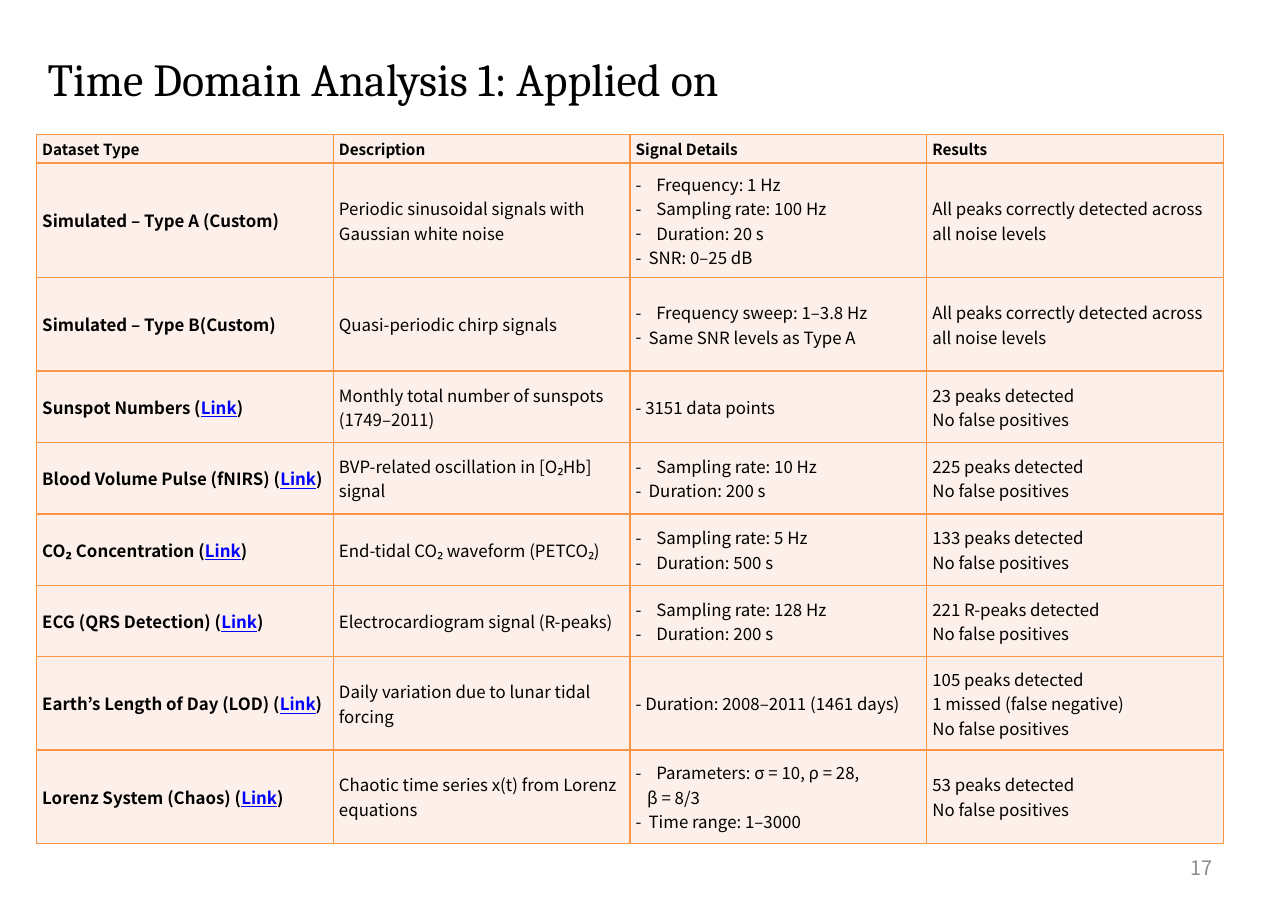
from lxml import etree
from pptx import Presentation
from pptx import util as u
from pptx.dml.color import RGBColor
from pptx.enum import text
from pptx.oxml import ns

BLACK = RGBColor(0x00, 0x00, 0x00)
GREY = RGBColor(0x8C, 0x8C, 0x8C)
LINK_BLUE = RGBColor(0x00, 0x00, 0xFF)
CELL_FILL = RGBColor(0xFD, 0xEF, 0xE9)
BORDER = RGBColor(0xF7, 0x96, 0x46)
SERIF, SANS = "Cambria", "Noto Sans CJK KR"

HEADINGS = ["Dataset Type", "Description", "Signal Details", "Results"]
COLUMN_WIDTH = 193.9
ROW_HEIGHTS = [18.7, 75, 61, 46.7, 46.7, 46.7, 46.7, 61, 61]
NO_FALSE = "No false positives"


# Signal detail lines: (text, left indent, has a dash bullet)
def dash(line):
    return line, 13.5, True


def close_dash(line):
    return line, 8.5, True


def continuation(line):
    return line, 7.5, False


# Dataset, has a link, description, signal details, results
DATASETS = [
    ("Simulated – Type A (Custom)", False,
     ["Periodic sinusoidal signals with", "Gaussian white noise"],
     [dash("Frequency: 1 Hz"), dash("Sampling rate: 100 Hz"),
      dash("Duration: 20 s"), close_dash("SNR: 0–25 dB")],
     ["All peaks correctly detected across", "all noise levels"]),
    ("Simulated – Type B(Custom)", False,
     ["Quasi-periodic chirp signals"],
     [dash("Frequency sweep: 1–3.8 Hz"), close_dash("Same SNR levels as Type A")],
     ["All peaks correctly detected across all noise levels"]),
    ("Sunspot Numbers", True,
     ["Monthly total number of sunspots", "(1749–2011)"],
     ["- 3151 data points"],
     ["23 peaks detected", NO_FALSE]),
    ("Blood Volume Pulse (fNIRS)", True,
     ["BVP-related oscillation in [O₂Hb]", "signal"],
     [dash("Sampling rate: 10 Hz"), close_dash("Duration: 200 s")],
     ["225 peaks detected", NO_FALSE]),
    ("CO₂ Concentration", True,
     ["End-tidal CO₂ waveform (PETCO₂)"],
     [dash("Sampling rate: 5 Hz"), dash("Duration: 500 s")],
     ["133 peaks detected", NO_FALSE]),
    ("ECG (QRS Detection)", True,
     ["Electrocardiogram signal (R-peaks)"],
     [dash("Sampling rate: 128 Hz"), dash("Duration: 200 s")],
     ["221 R-peaks detected", NO_FALSE]),
    ("Earth’s Length of Day (LOD)", True,
     ["Daily variation due to lunar tidal", "forcing"],
     ["- Duration: 2008–2011 (1461 days)"],
     ["105 peaks detected", "1 missed (false negative)", NO_FALSE]),
    ("Lorenz System (Chaos)", True,
     ["Chaotic time series x(t) from Lorenz equations"],
     [dash("Parameters: σ = 10, ρ = 28,"), continuation("β = 8/3"),
      close_dash("Time range: 1–3000")],
     ["53 peaks detected", NO_FALSE]),
]


def set_all(target, **values):
    for name, value in values.items():
        setattr(target, name, value)


def add_run(paragraph, words, size, face=SANS, colour=BLACK, **style):
    run = paragraph.add_run()
    run.text = words
    set_all(run.font, size=u.Pt(size), name=face, **style)
    run.font.color.rgb = colour
    east_asian = etree.SubElement(run.font._element, ns.qn("a:ea"))
    east_asian.set("typeface", face)


def indent(paragraph, left, has_dash):
    properties = paragraph._p.get_or_add_pPr()
    properties.set("marL", str(u.Pt(left)))
    properties.set("indent", str(-u.Pt(left) if has_dash else 0))
    if has_dash:
        etree.SubElement(properties, ns.qn("a:buFont")).set("typeface", SANS)
        etree.SubElement(properties, ns.qn("a:buChar")).set("char", "-")


def add_text(slide, left, top, width, height, words, **style):
    frame = slide.shapes.add_textbox(*map(u.Pt, (left, top, width, height))).text_frame
    frame.word_wrap = True
    add_run(frame.paragraphs[0], words, **style)
    return frame


def format_cell(cell):
    set_all(cell, vertical_anchor=text.MSO_ANCHOR.MIDDLE,
            margin_left=u.Pt(3.6), margin_right=u.Pt(3.6),
            margin_top=u.Pt(1.5), margin_bottom=u.Pt(1.5))
    properties = cell._tc.get_or_add_tcPr()
    for side in ("lnL", "lnR", "lnT", "lnB"):
        edge = etree.SubElement(properties, ns.qn(f"a:{side}"), w=str(u.Pt(1)))
        paint = etree.SubElement(edge, ns.qn("a:solidFill"))
        etree.SubElement(paint, ns.qn("a:srgbClr")).set("val", str(BORDER))
    cell.fill.solid()
    cell.fill.fore_color.rgb = CELL_FILL


def write_lines(cell, lines):
    frame = cell.text_frame
    for number, line in enumerate(lines):
        paragraph = frame.add_paragraph() if number else frame.paragraphs[0]
        if isinstance(line, tuple):
            line, left, has_dash = line
            indent(paragraph, left, has_dash)
        add_run(paragraph, line, 11, bold=False)


def write_dataset(cell, dataset, has_link):
    paragraph = cell.text_frame.paragraphs[0]
    add_run(paragraph, dataset + " (" if has_link else dataset, 11, bold=True)
    if has_link:
        add_run(paragraph, "Link", 11, colour=LINK_BLUE, bold=True, underline=True)
        add_run(paragraph, ")", 11, bold=True)


def add_results_table(slide):
    table = slide.shapes.add_table(
        len(ROW_HEIGHTS), len(HEADINGS), u.Pt(24), u.Pt(87.9),
        u.Pt(COLUMN_WIDTH * len(HEADINGS)), u.Pt(sum(ROW_HEIGHTS))).table
    set_all(table, first_row=False, horz_banding=False)
    for column in table.columns:
        column.width = u.Pt(COLUMN_WIDTH)
    for row, height in zip(table.rows, ROW_HEIGHTS):
        row.height = u.Pt(height)
    for cell in table.iter_cells():
        format_cell(cell)

    # Heading row
    for column, heading in enumerate(HEADINGS):
        add_run(table.cell(0, column).text_frame.paragraphs[0], heading, 10, bold=True)

    # One row for each dataset
    for row, (dataset, has_link, *columns) in enumerate(DATASETS, 1):
        write_dataset(table.cell(row, 0), dataset, has_link)
        for column, lines in enumerate(columns, 1):
            write_lines(table.cell(row, column), lines)


def main():
    deck = Presentation()
    set_all(deck, slide_width=u.Pt(841.68), slide_height=u.Pt(595.44))
    slide = deck.slides.add_slide(deck.slide_layouts[6])

    # Title
    title = add_text(slide, 24, 11.5, 656, 56, "Time Domain Analysis 1: Applied on",
                     size=30, face=SERIF)
    title.paragraphs[0].line_spacing = 1.5

    # Page number
    page = add_text(slide, 603.4, 551.5, 196.6, 31.7, "17", size=13, colour=GREY)
    set_all(page, vertical_anchor=text.MSO_ANCHOR.MIDDLE,
            margin_left=u.Pt(8), margin_right=u.Pt(8))
    page.paragraphs[0].alignment = text.PP_ALIGN.RIGHT

    # Results table
    add_results_table(slide)
    deck.save("out.pptx")


if __name__ == "__main__":
    main()
